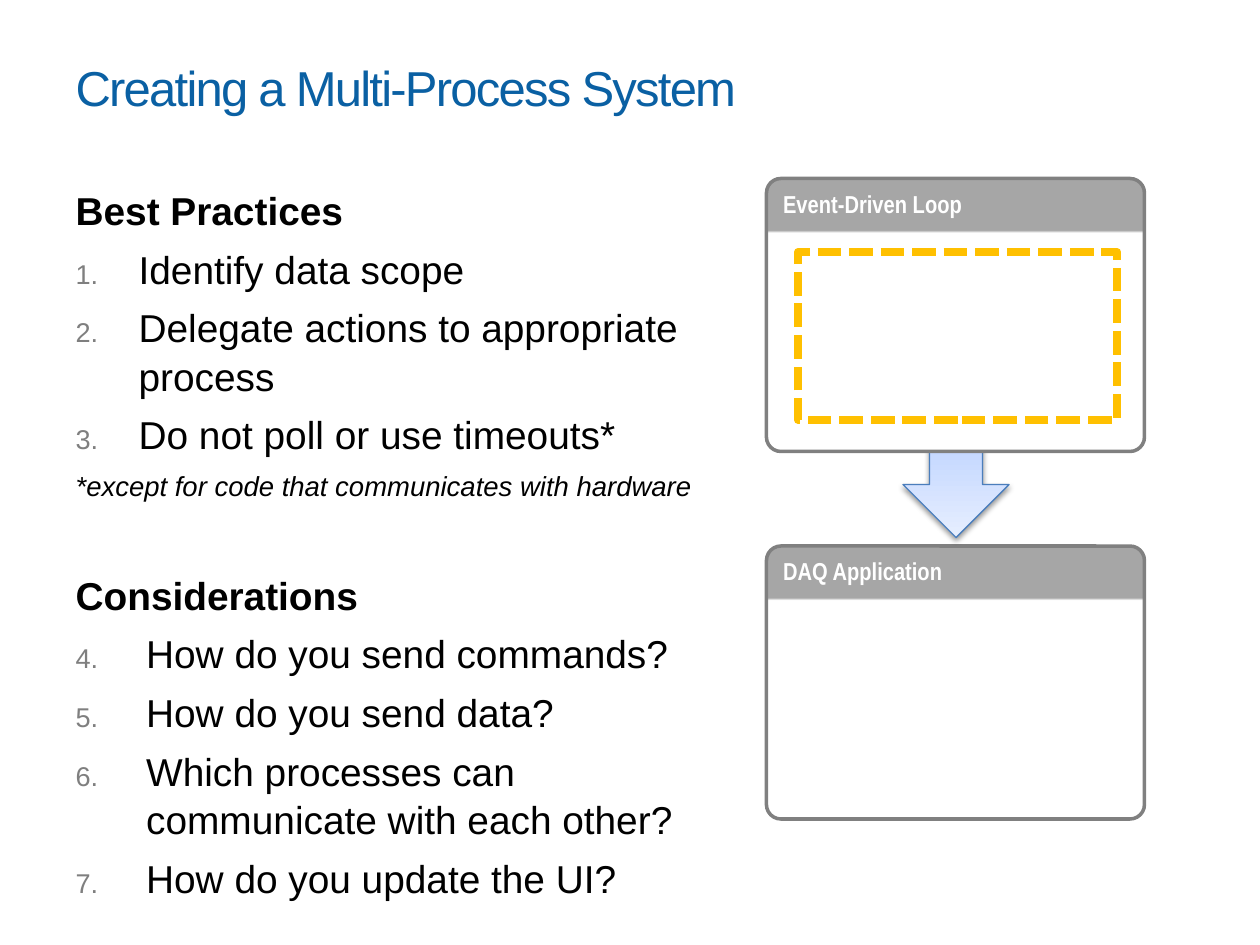
from dataclasses import dataclass

from lxml import etree
from pptx import Presentation
from pptx import util as u
from pptx.dml.color import RGBColor
from pptx.enum import dml, shapes, text
from pptx.oxml import ns

COLUMNS, ROWS = 120, 90
SLIDE_WIDTH, SLIDE_HEIGHT = u.Inches(10), u.Inches(7.5)


@dataclass(frozen=True)
class Theme:
    font: str = "Arial"
    header_font: str = "Arial Narrow"
    title_color: str = "0A60A3"
    ink: str = "000000"
    number_color: str = "7F7F7F"
    header_text: str = "FFFFFF"
    border: str = "808080"
    header_stops: tuple = ((19, "A6A6A6"), (19, "A6A6A6"), (20, "FFFFFF"))
    arrow_stops: tuple = ((0, "A4C4FF"), (35, "BFD4FF"), (100, "E6EEFF"))
    arrow_border: str = "4B7EBC"
    highlight: str = "FFC000"
    title_size: float = 28
    body_size: float = 22.2
    note_size: float = 15.7
    header_size: float = 14
    gap: float = 5.8
    section_gap: float = 38.5


THEME = Theme()


@dataclass(frozen=True)
class Box:
    column: float
    row: float
    columns: float
    rows: float

    def inner(self, column, row, columns, rows):
        return Box(self.column + column, self.row + row, columns, rows)

    def frame(self):
        return (int(SLIDE_WIDTH * self.column / COLUMNS),
                int(SLIDE_HEIGHT * self.row / ROWS),
                int(SLIDE_WIDTH * self.columns / COLUMNS),
                int(SLIDE_HEIGHT * self.rows / ROWS))


def rgb(color):
    return RGBColor.from_string(color)


def child(parent, tag, **attributes):
    return etree.SubElement(parent, ns.qn(tag), attributes)


def style_font(font, size, color, name=THEME.font, bold=False, italic=False):
    font.name, font.size, font.bold, font.italic = name, u.Pt(size), bold, italic
    font.color.rgb = rgb(color)


def place(placeholder, box):
    placeholder.left, placeholder.top, placeholder.width, placeholder.height = box.frame()
    placeholder.text_frame.auto_size = text.MSO_AUTO_SIZE.NONE
    return placeholder.text_frame


def add_outlined(slide, kind, box, color, width):
    outlined = slide.shapes.add_shape(kind, *box.frame())
    outlined.shadow.inherit = False
    outlined.line.color.rgb = rgb(color)
    outlined.line.width = u.Pt(width)
    return outlined


def fill_gradient(shape, stops, angle):
    shape.fill.gradient()
    gradient = shape._element.spPr.find(ns.qn("a:gradFill"))
    for preset in list(gradient):
        gradient.remove(preset)
    stop_list = child(gradient, "a:gsLst")
    for position, color in stops:
        stop = child(stop_list, "a:gs", pos=str(position * 1000))
        child(stop, "a:srgbClr", val=color)
    child(gradient, "a:lin", ang=str(angle * 60000), scaled="0")


def add_title(slide, box, wording):
    frame = place(slide.shapes.title, box)
    frame.vertical_anchor = text.MSO_ANCHOR.MIDDLE
    heading = frame.paragraphs[0]
    heading.alignment = text.PP_ALIGN.LEFT
    run = heading.add_run()
    run.text = wording
    style_font(run.font, THEME.title_size, THEME.title_color)
    run.font._element.set("spc", "-100")


def set_bullet(paragraph, indent=0, number=None):
    properties = paragraph._p.get_or_add_pPr()
    properties.set("marL", str(u.Inches(indent)))
    properties.set("indent", str(-u.Inches(indent)))
    for default_font in properties.findall(ns.qn("a:defRPr")):
        properties.remove(default_font)
        properties.append(default_font)
    bullets = etree.Element(ns.qn("a:pPr"))
    if number is None:
        child(bullets, "a:buNone")
    else:
        child(child(bullets, "a:buClr"), "a:srgbClr", val=THEME.number_color)
        child(bullets, "a:buSzPct", val="70000")
        child(bullets, "a:buFont", typeface=THEME.font)
        child(bullets, "a:buAutoNum", type="arabicPeriod", startAt=str(number))
    default_font = properties.find(ns.qn("a:defRPr"))
    for bullet in list(bullets):
        default_font.addprevious(bullet)


def add_lists(slide, box, sections):
    frame = place(slide.placeholders[1], box)
    frame.vertical_anchor = text.MSO_ANCHOR.TOP
    fresh = [frame.paragraphs[0]]

    def add_line(wording, before=THEME.gap, size=THEME.body_size,
                 indent=0, number=None, **emphasis):
        line = fresh.pop() if fresh else frame.add_paragraph()
        line.text = wording
        line.alignment = text.PP_ALIGN.LEFT
        line.space_before, line.space_after = u.Pt(before), u.Pt(0)
        line.line_spacing = 1.04
        style_font(line.font, size, THEME.ink, **emphasis)
        set_bullet(line, indent, number)

    start = 1
    for heading, items, indent, note in sections:
        before = THEME.gap if start == 1 else THEME.section_gap
        add_line(heading, before, indent=indent, bold=True)
        for item in items:
            add_line(item, indent=indent, number=start)
        if note:
            add_line(note, size=THEME.note_size, italic=True)
        start += len(items)


def add_process(slide, box, name):
    process = add_outlined(slide, shapes.MSO_SHAPE.ROUNDED_RECTANGLE, box, THEME.border, 2)
    process.adjustments[0] = 0.053
    fill_gradient(process, THEME.header_stops, 90)
    frame = process.text_frame
    frame.vertical_anchor = text.MSO_ANCHOR.TOP
    label = frame.paragraphs[0]
    label.text = name
    label.alignment = text.PP_ALIGN.LEFT
    style_font(label.font, THEME.header_size, THEME.header_text, THEME.header_font, bold=True)


def add_flow_arrow(slide, box):
    arrow = add_outlined(slide, shapes.MSO_SHAPE.UP_ARROW, box, THEME.arrow_border, 0.75)
    arrow.rotation = 180
    fill_gradient(arrow, THEME.arrow_stops, 270)
    effects = arrow._element.spPr.find(ns.qn("a:effectLst"))
    shadow = child(effects, "a:outerShdw", blurRad=str(u.Pt(3.1)), dist=str(u.Pt(1.6)),
                   dir="5400000", rotWithShape="0")
    child(child(shadow, "a:srgbClr", val="000000"), "a:alpha", val="38000")


def add_diagram(slide, box, source, target):
    process_rows = 26
    add_process(slide, box.inner(0, box.rows - process_rows, box.columns, process_rows), target)
    add_flow_arrow(slide, box.inner(13, 19, 10.1, 15.2))
    add_process(slide, box.inner(0, 0, box.columns, process_rows), source)
    highlight = add_outlined(slide, shapes.MSO_SHAPE.RECTANGLE,
                             box.inner(3, 7, 30.4, 16), THEME.highlight, 4.5)
    highlight.fill.background()
    highlight.line.dash_style = dml.MSO_LINE.SQUARE_DOT


def main():
    deck = Presentation()
    deck.slide_width, deck.slide_height = SLIDE_WIDTH, SLIDE_HEIGHT
    slide = deck.slides.add_slide(deck.slide_layouts[1])
    add_title(slide, Box(6, 3.6, 108, 9.4), "Creating a Multi-Process System")
    add_lists(slide, Box(6, 17, 64, 59.4), [
        ("Best Practices",
         ["Identify data scope",
          "Delegate actions to appropriate process",
          "Do not poll or use timeouts*"],
         0.5, "*except for code that communicates with hardware"),
        ("Considerations",
         ["How do you send commands?",
          "How do you send data?",
          "Which processes can communicate with each other?",
          "How do you update the UI?"],
         0.56, None),
    ])
    add_diagram(slide, Box(73, 17, 36, 61), "Event-Driven Loop", "DAQ Application")
    deck.save("out.pptx")


if __name__ == "__main__":
    main()
